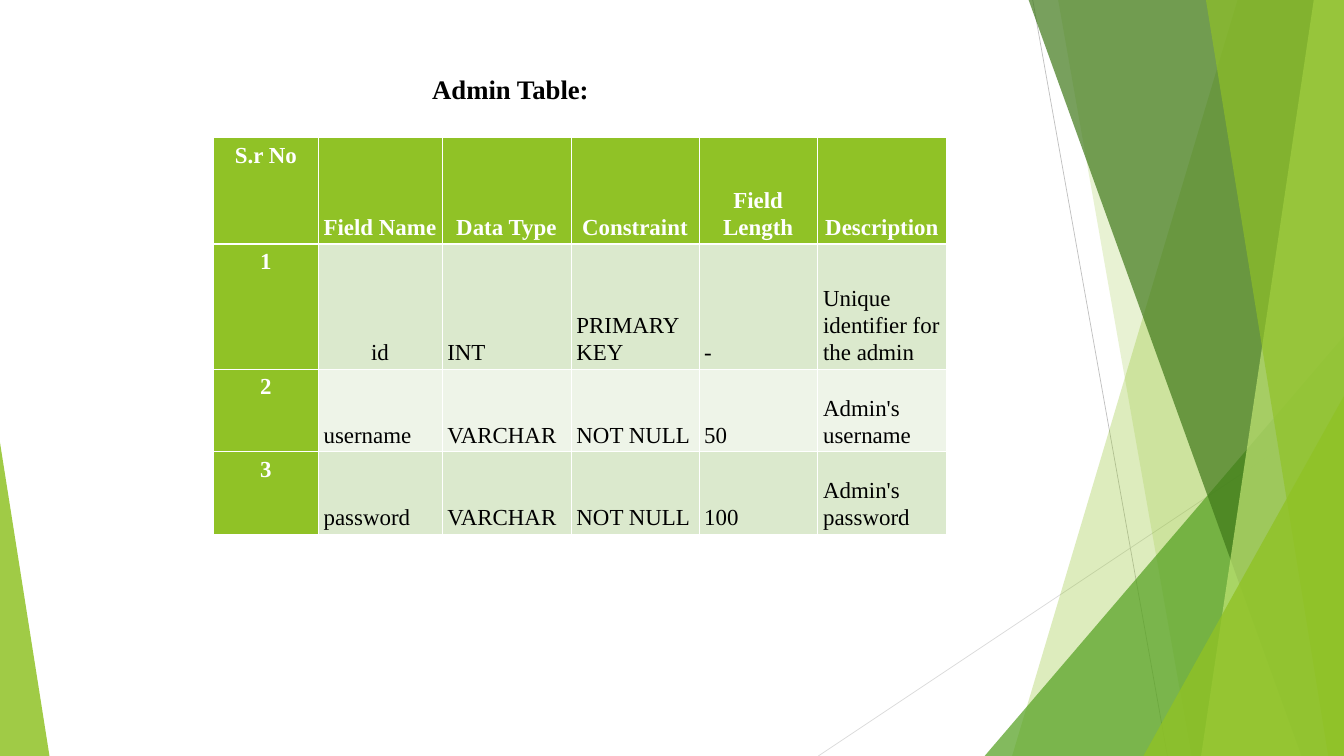
from pptx import Presentation
from pptx.dml.color import RGBColor as Rgb
from pptx.enum.shapes import MSO_CONNECTOR as Link, MSO_SHAPE as Shape
from pptx.enum.text import MSO_ANCHOR as Anchor, PP_ALIGN as Align
from pptx.oxml.ns import qn
from pptx.util import Inches, Pt
from lxml.etree import SubElement as Sub

COLS, ROWS = 19.56, 11
FONT = "Times New Roman"
HUES = {
    "lime": "90C226", "leaf": "54A021", "moss": "3F7819", "pale": "C0E474",
    "band": "DBE9CD", "light": "EEF4E8", "white": "FFFFFF", "black": "000000",
    "gray": "BFBFBF", "mist": "D9D9D9",
}
LINES = [
    ((40.78, 0), (66.41, 100), "gray"),
    ((100, 53.64), (0, 100), "mist"),
]
FACETS = [
    ([(79.74, 0), (100, 0), (100, 100), (36.86, 100)], "lime", 30),
    ([(45.62, 0), (100, 0), (100, 100), (70.98, 100)], "lime", 20),
    ((31.63, 44.45), "leaf", 72),
    ([(40, 0), (100, 0), (100, 100), (91.9, 100)], "moss", 70),
    ([(94.25, 0), (100, 0), (100, 100), (72.81, 100)], "pale", 70),
    ([(73.73, 0), (100, 0), (100, 100), (96.99, 100)], "lime", 65),
    ((61.83, 52.36), "lime", 80),
]
WIDTHS = [1.52, 1.8, 1.88, 1.86, 1.73, 1.87]
HEIGHTS = [1.55, 1.82, 1.2, 1.2]
DATA = [
    ["S.r No", "Field Name", "Data Type", "Constraint", "Field Length", "Description"],
    ["1", "id", "INT", "PRIMARY KEY", "-", "Unique identifier for the admin"],
    ["2", "username", "VARCHAR", "NOT NULL", "50", "Admin's username"],
    ["3", "password", "VARCHAR", "NOT NULL", "100", "Admin's password"],
]


def hue(name):
    return Rgb.from_string(HUES[name])


def write(frame, text, size=24, color="black", bold=False, align=Align.LEFT, space=1):
    para = frame.paragraphs[0]
    para.alignment = align
    para.line_spacing = space
    run = para.add_run()
    run.text = text
    run.font.name = FONT
    run.font.size = Pt(size)
    run.font.bold = bold
    run.font.color.rgb = hue(color)


def paint(shape, color, share):
    shape.shadow.inherit = False
    shape.fill.solid()
    shape.fill.fore_color.rgb = hue(color)
    shape.line.fill.background()
    tone = shape._element.spPr.find(qn("a:solidFill"))[0]
    Sub(tone, qn("a:alpha"), val=str(share * 1000))


def wedge(slide, box, side, color, share):
    shape = slide.shapes.add_shape(Shape.ISOSCELES_TRIANGLE, *map(Inches, box))
    shape.adjustments[0] = side
    paint(shape, color, share)


def facets(slide, box):
    left, top, width, height = box

    def spot(point):
        return left + point[0] * width / 100, top + point[1] * height / 100

    def place(point):
        return tuple(map(Inches, spot(point)))

    for start, end, color in LINES:
        line = slide.shapes.add_connector(Link.STRAIGHT, *place(start), *place(end))
        line.line.color.rgb = hue(color)
        line.line.width = Pt(0.75)
        Sub(line._element.spPr, qn("a:effectLst"))
    for form, color, share in FACETS:
        if isinstance(form, tuple):
            x, y = spot(form)
            wedge(slide, (x, y, left + width - x, top + height - y), 1, color, share)
        else:
            first, *rest = map(place, form)
            path = slide.shapes.build_freeform(*first, scale=1)
            path.add_line_segments(rest, close=True)
            paint(path.convert_to_shape(), color, share)


def title(slide, box, text):
    frame = slide.shapes.add_textbox(*map(Inches, box)).text_frame
    frame.word_wrap = True
    frame.margin_left = frame.margin_right = 0
    frame.margin_top = frame.margin_bottom = 0
    write(frame, text, size=28, bold=True)


def edge(cell, heavy):
    for side in "LRTB":
        width = Pt(1.47 if side == heavy else 0.45)
        line = Sub(cell._tc.get_or_add_tcPr(), qn("a:ln" + side), w=str(width))
        Sub(Sub(line, qn("a:solidFill")), qn("a:srgbClr"), val=HUES["white"])


def grid(slide, box):
    table = slide.shapes.add_table(len(DATA), len(WIDTHS), *map(Inches, box)).table
    table.horz_banding = False
    for col, width in zip(table.columns, WIDTHS):
        col.width = Inches(width)
    for row, height in zip(table.rows, HEIGHTS):
        row.height = Inches(height)
    for r, texts in enumerate(DATA):
        for c, text in enumerate(texts):
            cell = table.cell(r, c)
            head = r == 0 or c == 0
            mid = head or (r, c) == (1, 1)
            cell.margin_left = cell.margin_right = Inches(0.08)
            cell.margin_top = cell.margin_bottom = Inches(0.05)
            cell.vertical_anchor = Anchor.BOTTOM if c else Anchor.TOP
            edge(cell, {0: "B", 1: "T"}.get(r))
            cell.fill.solid()
            cell.fill.fore_color.rgb = hue("lime" if head else "band" if r % 2 else "light")
            write(cell.text_frame, text, color="white" if head else "black", bold=head,
                  align=Align.CENTER if mid else Align.LEFT, space=1.07)


def main():
    deck = Presentation()
    deck.slide_width, deck.slide_height = Inches(COLS), Inches(ROWS)
    slide = deck.slides.add_slide(deck.slide_layouts[6])
    facets(slide, (11.91, 0, COLS - 11.91, ROWS))
    wedge(slide, (0, 6.44, 0.72, ROWS - 6.44), 0, "lime", 85)
    title(slide, (6.29, 1.06, 2.57, 0.47), "Admin Table:")
    grid(slide, (3.11, 2, sum(WIDTHS), sum(HEIGHTS)))
    deck.save("out.pptx")


if __name__ == "__main__":
    main()
